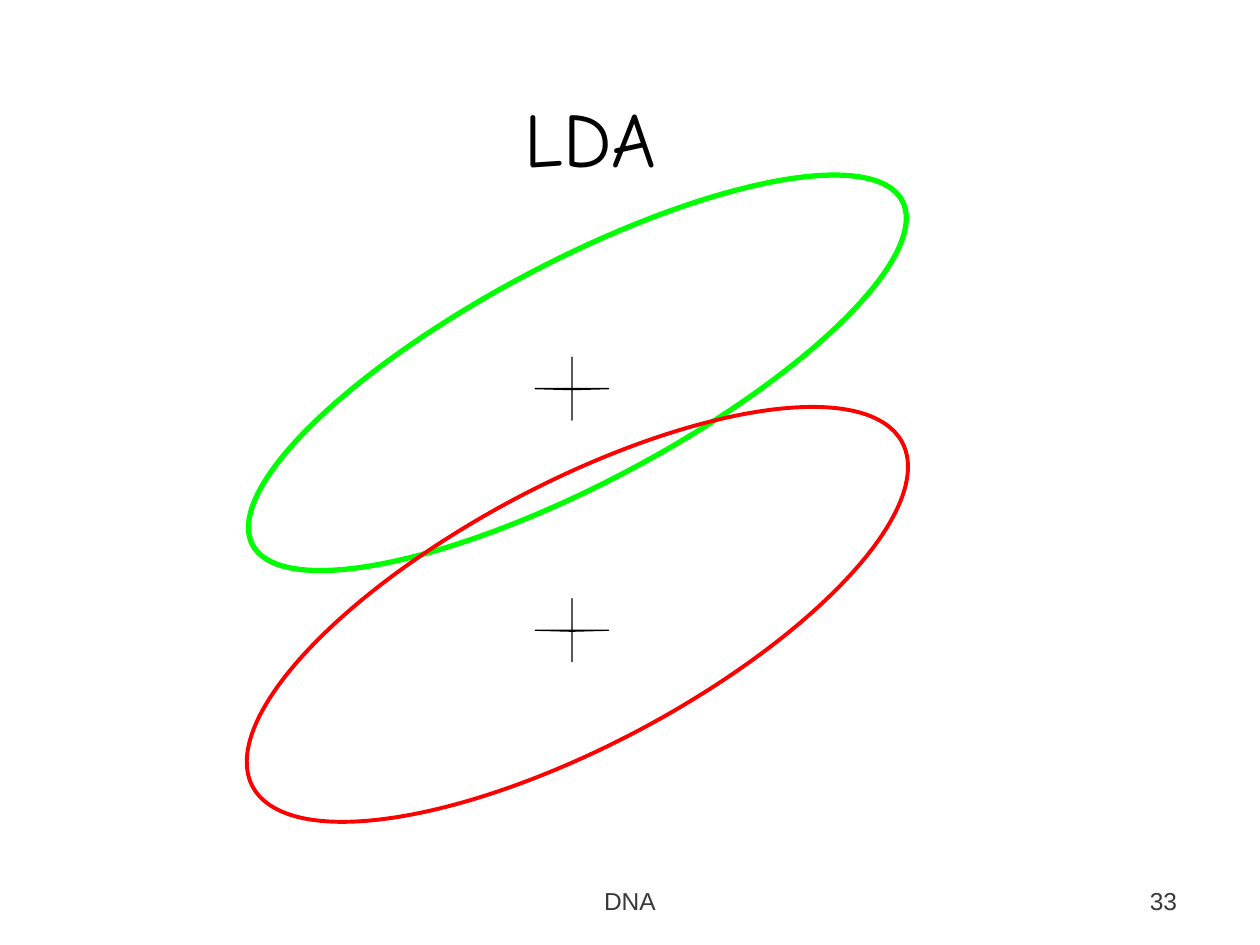
from pptx import Presentation
from pptx.dml.color import RGBColor
from pptx.enum.shapes import MSO_SHAPE
from pptx.enum.text import MSO_ANCHOR, MSO_AUTO_SIZE, PP_ALIGN
from pptx.util import Cm, Pt

COLORS = {
    "green": "00FF00",
    "red": "FF0000",
    "black": "000000",
    "gray": "CBCBCB",
    "foot": "393939",
}


def tint(name):
    return RGBColor.from_string(COLORS[name])


def place(shape, box):
    shape.left, shape.top, shape.width, shape.height = map(Cm, box)


def write(shape, text, font, size, color, align, before=0):
    frame = shape.text_frame
    frame.word_wrap = True
    frame.auto_size = MSO_AUTO_SIZE.NONE
    frame.vertical_anchor = MSO_ANCHOR.BOTTOM
    para = frame.paragraphs[0]
    para.alignment = align
    para.space_before = Pt(before)
    run = para.add_run()
    run.text = text
    run.font.name = font
    run.font.size = Pt(size)
    run.font.color.rgb = tint(color)


def add_title(slide, box):
    title = slide.shapes.title
    place(title, box)
    write(title, "LDA", "Comic Neue", 44, "black", PP_ALIGN.CENTER)


def add_class(slide, box, color, weight):
    oval = slide.shapes.add_shape(MSO_SHAPE.OVAL, *map(Cm, box))
    oval.rotation = 332.1
    oval.shadow.inherit = False
    oval.fill.background()
    oval.line.color.rgb = tint(color)
    oval.line.width = Pt(weight)


def add_mean(slide, box):
    left, top, wide, high = box
    mid_x, mid_y = left + wide / 2, top + high / 2
    right, base, gap = left + wide, top + high, 0.02
    points = [
        (mid_x, mid_y), (mid_x, top), (mid_x, mid_y), (right, mid_y),
        (mid_x, mid_y + gap), (mid_x, base), (mid_x, mid_y + gap),
    ]
    pen = slide.shapes.build_freeform(Cm(left), Cm(mid_y))
    pen.add_line_segments([(Cm(x), Cm(y)) for x, y in points], close=True)
    cross = pen.convert_to_shape()
    cross.shadow.inherit = False
    cross.fill.solid()
    cross.fill.fore_color.rgb = tint("gray")
    cross.line.color.rgb = tint("black")
    cross.line.width = Pt(0.75)


def add_plot(slide, box):
    left, top, wide, high = box
    first = 4.45
    add_class(slide, (left, top, wide, first), "green", 3)
    add_class(slide, (left, top + first, wide, high - first), "red", 2.25)
    for drop in (1.91, 6.78):
        add_mean(slide, (left + 6.56, top + drop, 1.48, 1.27))


def add_foot(slide, box):
    left, top, wide, high = box
    parts = [
        ("DNA", 0, 8.04, PP_ALIGN.CENTER),
        ("33", wide - 5.29, 5.29, PP_ALIGN.RIGHT),
    ]
    for text, shift, span, align in parts:
        area = slide.shapes.add_textbox(*map(Cm, (left + shift, top, span, high)))
        write(area, text, "Arial", 14, "foot", align)


def main():
    deck = Presentation()
    deck.slide_width, deck.slide_height = Cm(25.4), Cm(19.05)
    slide = deck.slides.add_slide(deck.slide_layouts[5])
    add_plot(slide, (4.23, 5.29, 14.82, 9.74))
    add_title(slide, (1.11, 0.64, 21.59, 3.18))
    add_foot(slide, (8.68, 17.3, 15.3, 1.27))
    deck.save("out.pptx")


if __name__ == "__main__":
    main()
